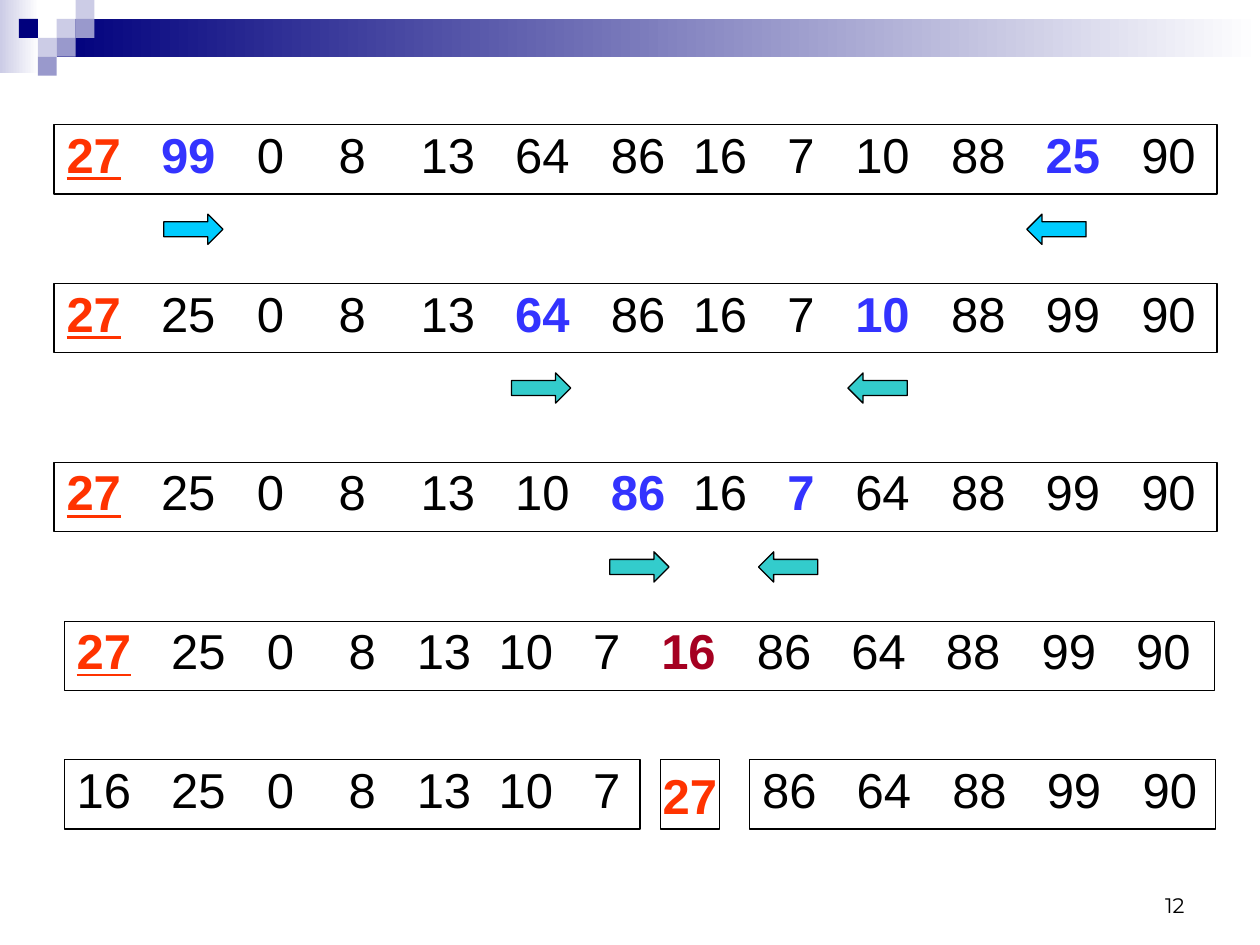
from lxml import etree
from pptx import Presentation
from pptx.dml.color import RGBColor
from pptx.enum.shapes import MSO_SHAPE
from pptx.enum.text import MSO_ANCHOR, PP_ALIGN
from pptx.oxml.ns import qn
from pptx.util import Inches, Pt

RECTANGLE = MSO_SHAPE.RECTANGLE
RIGHT_ARROW, LEFT_ARROW = MSO_SHAPE.RIGHT_ARROW, MSO_SHAPE.LEFT_ARROW
TOP, MIDDLE, BOTTOM = MSO_ANCHOR.TOP, MSO_ANCHOR.MIDDLE, MSO_ANCHOR.BOTTOM
LEFT, CENTER, RIGHT = PP_ALIGN.LEFT, PP_ALIGN.CENTER, PP_ALIGN.RIGHT

COLORS = {
    "black": "000000", "white": "FFFFFF", "navy": "00007D",
    "lavender": "CCCCE6", "violet": "9999CC", "pivot": "FF3300",
    "swap": "3333FF", "meeting": "A50021", "sky": "00CCFF", "teal": "33CCCC",
}
CELL = 0.15
HEADER_SQUARES = [
    (3, 1, "lavender"), (4, 0, "lavender"), (4, 1, "violet"), (2, 2, "lavender"),
    (1, 1, "navy"), (3, 2, "violet"), (2, 3, "violet"),
]
ROW_HEIGHT = 0.55
ARROW_DROP = 0.71
ARROW_SIZE = (0.47, 0.24)

# Tab stops of the numbers, from the left edge of the text
STEP_STOPS = [0.75, 1.51, 2.16, 2.81, 3.56, 4.32, 4.97, 5.72, 6.26, 7.02, 7.77, 8.53]
FINAL_STOPS = [0.75, 1.51, 2.16, 2.7, 3.35, 4.1, 4.64, 5.4, 6.15, 6.9, 7.66, 8.41]
EVEN_STOPS = [0.75, 1.51, 2.26, 3.02]

# Row top, numbers, swapped numbers, arrow colour, left edges of the arrows
STEPS = [
    (0.99, "27 99 0 8 13 64 86 16 7 10 88 25 90", ("99", "25"), "sky", (1.3, 8.15)),
    (2.25, "27 25 0 8 13 64 86 16 7 10 88 99 90", ("64", "10"), "teal", (4.06, 6.73)),
    (3.67, "27 25 0 8 13 10 86 16 7 64 88 99 90", ("86", "7"), "teal", (4.84, 6.02)),
]


def rgb(name):
    return RGBColor.from_string(COLORS[name])


def add_block(slide, kind, left, top, width, height, fill=None, outlined=True):
    block = slide.shapes.add_shape(
        kind, Inches(left), Inches(top), Inches(width), Inches(height))
    block.shadow.inherit = False
    if fill:
        block.fill.solid()
        block.fill.fore_color.rgb = rgb(fill)
    else:
        block.fill.background()
    if outlined:
        block.line.color.rgb = rgb("black")
        block.line.width = Pt(0.75)
    else:
        block.line.fill.background()
    return block


def add_fade(slide, left, top, width, height, color):
    """Add a bar that fades from a colour at the left to white."""
    bar = add_block(slide, RECTANGLE, left, top, width, height, outlined=False)
    bar.fill.gradient()
    bar.fill.gradient_angle = 0
    for stop, name in zip(bar.fill.gradient_stops, (color, "white")):
        stop.color.rgb = rgb(name)


def set_frame(shape, anchor=TOP, align=LEFT, wrap=True):
    """Prepare the text frame and return its first paragraph."""
    frame = shape.text_frame
    frame.word_wrap = wrap
    frame.vertical_anchor = anchor
    para = frame.paragraphs[0]
    para.alignment = align
    return para


def add_text(para, text, color="black", size=28, font="Arial", bold=False,
             underline=False):
    span = para.add_run()
    span.text = text
    span.font.name = font
    span.font.size = Pt(size)
    span.font.bold = bold
    span.font.underline = underline
    span.font.color.rgb = rgb(color)


def set_tabs(para, stops):
    tabs = etree.SubElement(para._p.get_or_add_pPr(), qn("a:tabLst"))
    for stop in stops:
        etree.SubElement(tabs, qn("a:tab"), pos=str(Inches(stop)), algn="l")


def add_number_row(slide, left, top, width, numbers, stops, accents=None):
    """Add a framed row of numbers; accents maps a number to its colour."""
    accents = accents or {}
    box = add_block(slide, RECTANGLE, left, top, width, ROW_HEIGHT)
    para = set_frame(box)
    para.line_spacing = 0.9
    para.space_before = Pt(7)
    set_tabs(para, stops)
    for index, number in enumerate(numbers.split()):
        color = accents.get(number, "black")
        add_text(para, ("\t" if index else "") + number, color=color,
                 bold=number in accents, underline=color == "pivot")


def add_header(slide):
    add_fade(slide, 0, 0, 0.31, 0.58, "lavender")
    add_fade(slide, 3 * CELL, CELL, 10 - 3 * CELL, 2 * CELL, "navy")
    for column, row, color in HEADER_SQUARES:
        add_block(slide, RECTANGLE, column * CELL, row * CELL, CELL, CELL,
                  fill=color, outlined=False)


def add_step(slide, top, numbers, swapped, arrow_color, arrow_lefts):
    accents = {"27": "pivot", **dict.fromkeys(swapped, "swap")}
    add_number_row(slide, 0.43, top, 9.23, numbers, STEP_STOPS, accents)
    for kind, left in zip((RIGHT_ARROW, LEFT_ARROW), arrow_lefts):
        add_block(slide, kind, left, top + ARROW_DROP, *ARROW_SIZE, fill=arrow_color)


def add_result(slide):
    add_number_row(slide, 0.51, 4.93, 9.13, "27 25 0 8 13 10 7 16 86 64 88 99 90",
                   FINAL_STOPS, {"27": "pivot", "16": "meeting"})
    top = 6.03
    add_number_row(slide, 0.51, top, 4.57, "16 25 0 8 13 10 7", FINAL_STOPS[:6])
    add_number_row(slide, 5.95, top, 3.7, "86 64 88 99 90", EVEN_STOPS)
    pivot = add_block(slide, RECTANGLE, 5.24, top, 0.47, ROW_HEIGHT, fill="white")
    add_text(set_frame(pivot, MIDDLE, CENTER, wrap=False), "27",
             color="pivot", bold=True)


def add_page_number(slide, number):
    box = slide.shapes.add_textbox(
        Inches(7.17), Inches(6.83), Inches(2.33), Inches(0.5))
    add_text(set_frame(box, BOTTOM, RIGHT), number, size=12, font="Montserrat")


def main():
    deck = Presentation()
    deck.slide_width, deck.slide_height = Inches(10), Inches(7.5)
    slide = deck.slides.add_slide(deck.slide_layouts[6])
    add_header(slide)
    for step in STEPS:
        add_step(slide, *step)
    add_result(slide)
    add_page_number(slide, "12")
    deck.save("out.pptx")


if __name__ == "__main__":
    main()
